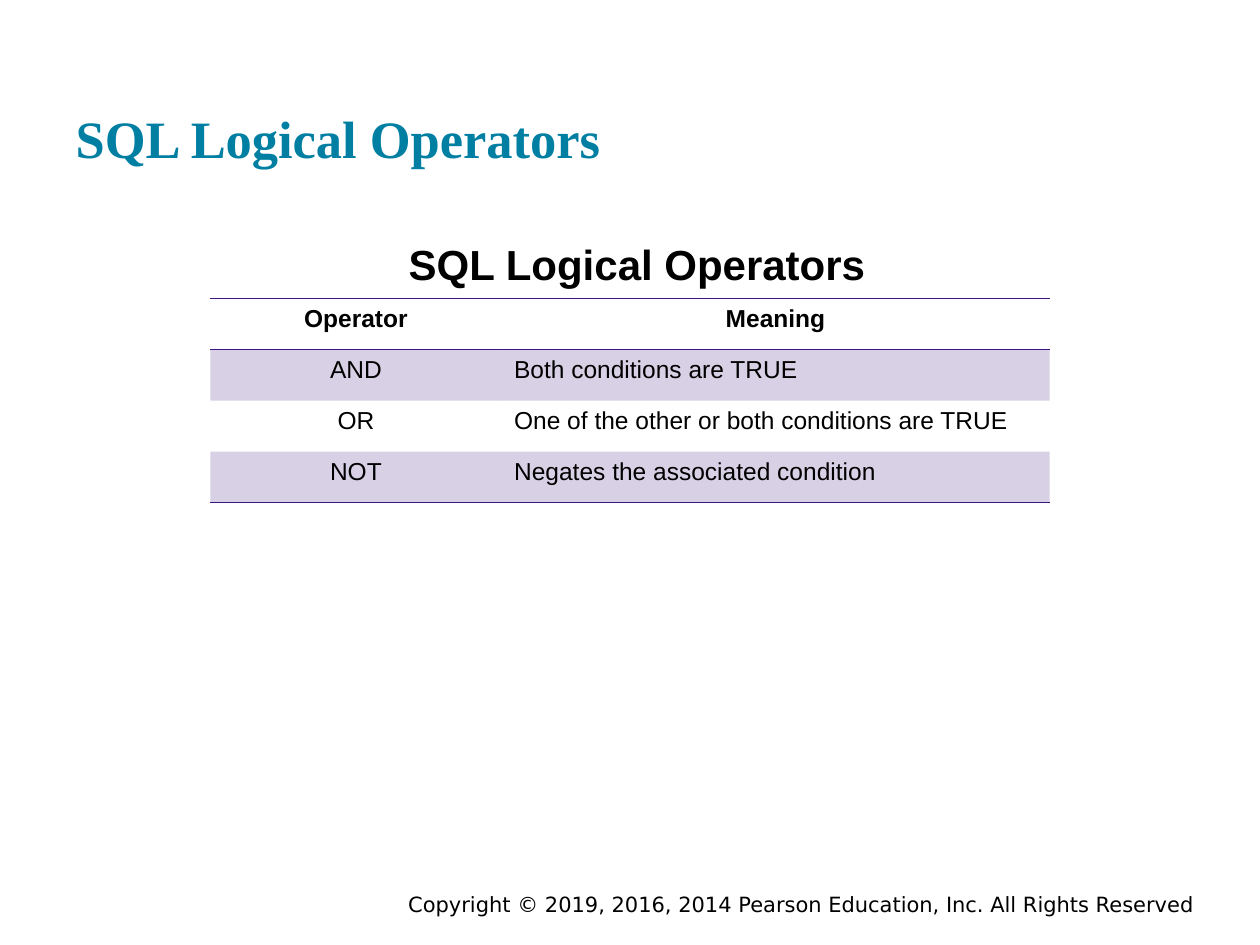
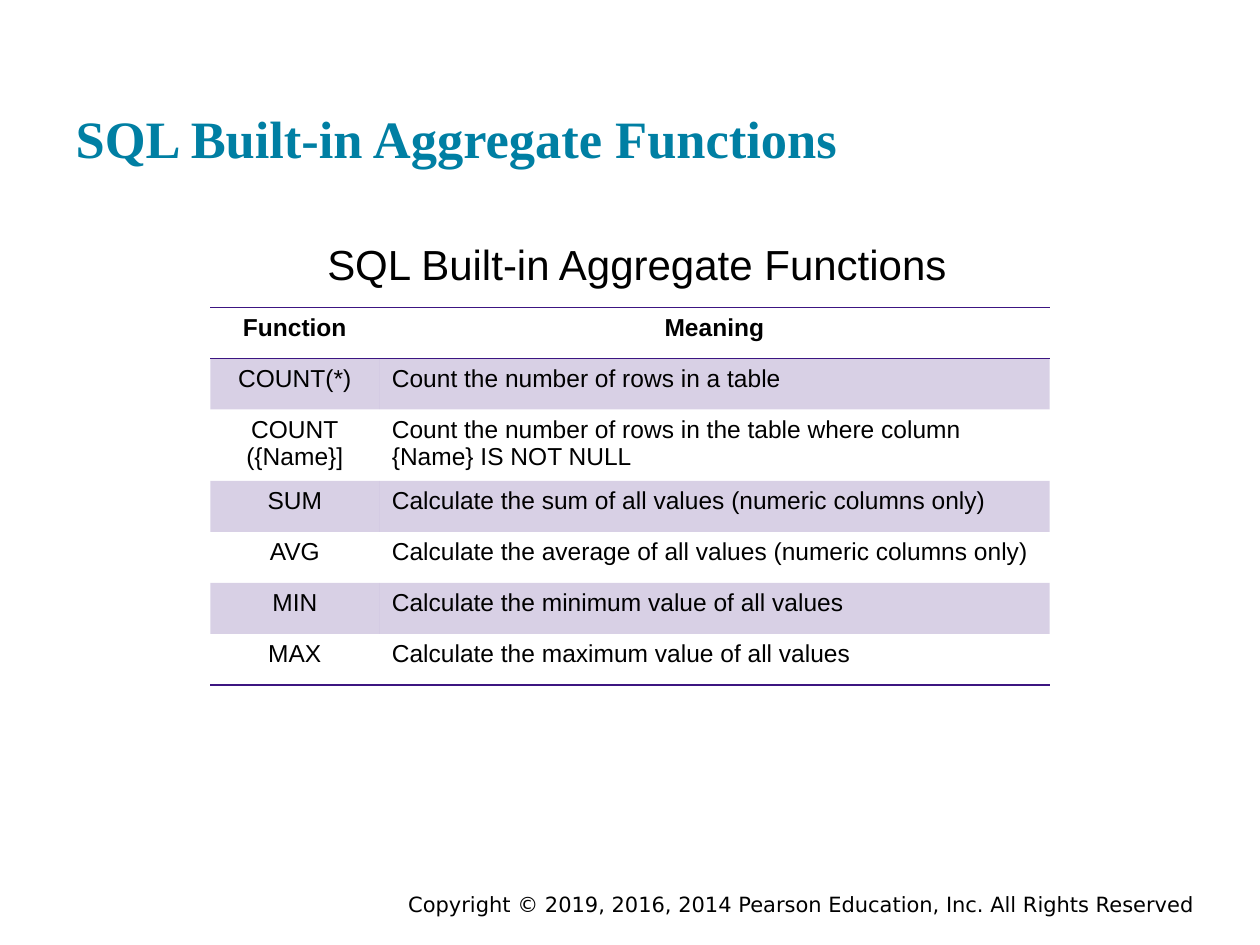
from dataclasses import dataclass

from lxml import etree
from pptx import Presentation
from pptx.dml.color import RGBColor
from pptx.enum import text
from pptx.oxml import ns
from pptx.util import Inches, Pt


@dataclass(frozen=True)
class Theme:
    title_color: str = "007FA3"
    ink: str = "000000"
    accent: str = "3C1581"
    band_alpha: int = 20
    rule_width: float = 1
    title_font: str = "Times New Roman"
    body_font: str = "Arial"
    footer_font: str = "DejaVu Sans"
    title_size: int = 30
    heading_size: int = 24
    table_size: int = 14
    footer_size: int = 12


THEME = Theme()
LEFT, CENTER, RIGHT = text.PP_ALIGN.LEFT, text.PP_ALIGN.CENTER, text.PP_ALIGN.RIGHT
ROW_HEIGHT = Inches(1.62 / 4)
NO_TABLE_STYLE = "{2D5ABB26-0587-4C30-8999-92F81FD0307C}"
COPYRIGHT = "Copyright © 2019, 2016, 2014 Pearson Education, Inc. All Rights Reserved"

LOGICAL_OPERATORS = [
    ("Operator", "Meaning"),
    ("AND", "Both conditions are TRUE"),
    ("OR", "One of the other or both conditions are TRUE"),
    ("NOT", "Negates the associated condition"),
]
AGGREGATE_FUNCTIONS = [
    ("Function", "Meaning"),
    ("COUNT(*)", "Count the number of rows in a table"),
    ("COUNT\n({Name}]", "Count the number of rows in the table where column {Name} IS NOT NULL"),
    ("SUM", "Calculate the sum of all values (numeric columns only)"),
    ("AVG", "Calculate the average of all values (numeric columns only)"),
    ("MIN", "Calculate the minimum value of all values"),
    ("MAX", "Calculate the maximum value of all values"),
]


def format_text(tf, font, size, color=THEME.ink, bold=False, align=LEFT):
    for p in tf.paragraphs:
        p.alignment = align
        p.font.name = font
        p.font.size = Pt(size)
        p.font.bold = bold
        p.font.color.rgb = RGBColor.from_string(color)


def set_insets(tf, side, top, bottom):
    tf.margin_left = tf.margin_right = Inches(side)
    tf.margin_top, tf.margin_bottom = Inches(top), Inches(bottom)
    tf.word_wrap = True


def add_title(s, title):
    sp = s.shapes.title
    sp.left, sp.top, sp.width, sp.height = (Inches(n) for n in (0.5, 0.24, 9, 1.2))
    tf = sp.text_frame
    tf.text = title
    tf.vertical_anchor = text.MSO_ANCHOR.BOTTOM
    set_insets(tf, 0.1, 0.1, 0.1)
    format_text(tf, THEME.title_font, THEME.title_size, THEME.title_color, True)


def add_heading(s, heading, bold):
    tf = s.shapes.add_textbox(Inches(0.5), Inches(1.75), Inches(9), Inches(4.95)).text_frame
    tf.text = heading
    set_insets(tf, 0.1, 0.14, 0.1)
    tf.margin_left = Inches(0.21)
    format_text(tf, THEME.body_font, THEME.heading_size, bold=bold, align=CENTER)


def add_footer(s):
    tf = s.shapes.add_textbox(Inches(1.75), Inches(7.03), Inches(7.83), Inches(0.22)).text_frame
    tf.text = COPYRIGHT
    set_insets(tf, 0.1, 0.05, 0.05)
    format_text(tf, THEME.footer_font, THEME.footer_size, align=RIGHT)


def add_border(cell, side):
    tc_pr = cell._tc.get_or_add_tcPr()
    ln = etree.SubElement(tc_pr, ns.qn(f"a:ln{side}"), w=str(Pt(THEME.rule_width)))
    fill = etree.SubElement(ln, ns.qn("a:solidFill"))
    etree.SubElement(fill, ns.qn("a:srgbClr"), val=THEME.accent)


def shade(cell):
    cell.fill.solid()
    cell.fill.fore_color.rgb = RGBColor.from_string(THEME.accent)
    color = cell._tc.tcPr.find(ns.qn("a:solidFill"))[0]
    etree.SubElement(color, ns.qn("a:alpha"), val=str(THEME.band_alpha * 1000))


def add_table(s, rows, top, widths):
    frame = s.shapes.add_table(len(rows), len(widths), Inches(1.67), Inches(top),
                               Inches(sum(widths)), ROW_HEIGHT * len(rows))
    frame.element.xpath(".//a:tableStyleId")[0].text = NO_TABLE_STYLE
    table = frame.table
    table.first_row = table.horz_banding = False
    for column, width in zip(table.columns, widths):
        column.width = Inches(width)
    for i, row in enumerate(rows):
        table.rows[i].height = ROW_HEIGHT
        is_header = i == 0
        for j, value in enumerate(row):
            cell = table.cell(i, j)
            cell.text = value
            align = CENTER if is_header or j == 0 else LEFT
            format_text(cell.text_frame, THEME.body_font, THEME.table_size,
                        bold=is_header, align=align)
            if is_header:
                add_border(cell, "T")
            if is_header or i == len(rows) - 1:
                add_border(cell, "B")
            if i % 2:
                shade(cell)
            else:
                cell.fill.background()


def add_reference_slide(prs, title, rows, top, widths, bold_heading):
    s = prs.slides.add_slide(prs.slide_layouts[5])
    add_footer(s)
    add_title(s, title)
    add_heading(s, title, bold_heading)
    add_table(s, rows, top, widths)


def main():
    prs = Presentation()
    prs.slide_width, prs.slide_height = Inches(10), Inches(7.5)
    add_reference_slide(prs, "SQL Logical Operators", LOGICAL_OPERATORS,
                        2.37, (2.31, 4.35), True)
    add_reference_slide(prs, "SQL Built-in Aggregate Functions", AGGREGATE_FUNCTIONS,
                        2.44, (1.34, 5.32), False)
    prs.save("out.pptx")


if __name__ == "__main__":
    main()
